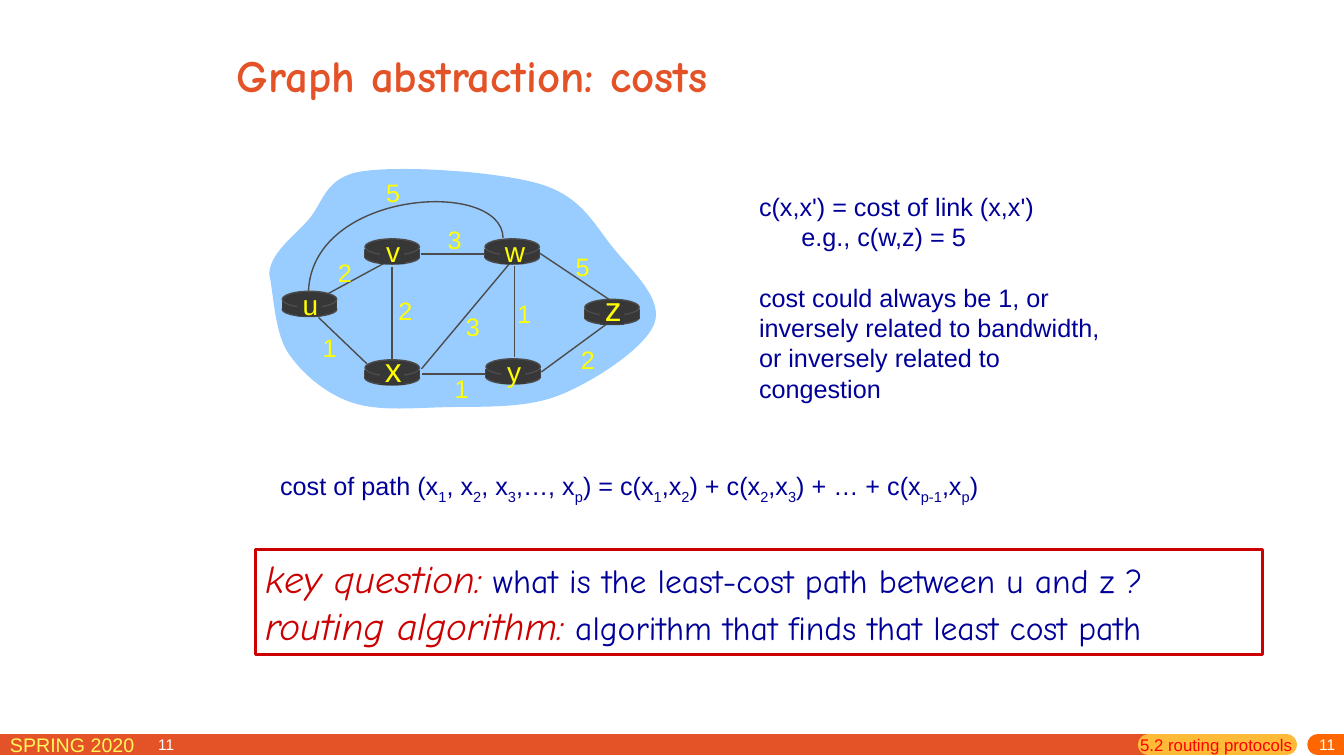
from lxml import etree
from pptx import Presentation
from pptx.dml.color import RGBColor
from pptx.enum.shapes import MSO_CONNECTOR, MSO_SHAPE
from pptx.enum.text import MSO_ANCHOR, PP_ALIGN
from pptx.oxml.ns import qn
from pptx.util import Inches, Pt

ORANGE = RGBColor(0xE4, 0x53, 0x27)
AMBER = RGBColor(0xFF, 0xBA, 0x37)
BRIGHT_ORANGE = RGBColor(0xFF, 0x66, 0x00)
PALE_YELLOW = RGBColor(0xFF, 0xF6, 0x5C)
YELLOW = RGBColor(0xFF, 0xFF, 0x00)
WHITE = RGBColor(0xFF, 0xFF, 0xFF)
RED = RGBColor(0xFF, 0x00, 0x00)
DARK_RED = RGBColor(0xCC, 0x00, 0x00)
NAVY = RGBColor(0x00, 0x00, 0x99)
SKY = RGBColor(0x99, 0xCC, 0xFF)
ROUTER = RGBColor(0x37, 0x37, 0x37)
GREY = RGBColor(0x4C, 0x4C, 0x4C)
SANS, COMIC = "Arial", "Comic Neue"

# Content
TITLE = "Graph abstraction: costs"
FOOTER_BARS = [(0, 11.39, ORANGE), (11.39, 12.76, AMBER), (13.07, 13.33, BRIGHT_ORANGE)]
CLOUD = [(2.67, 2.72), (2.68, 2.51), (2.9, 2.36), (3.05, 2.19), (3.21, 2.02), (3.21, 1.76),
         (3.59, 1.7), (3.98, 1.64), (4.95, 1.7), (5.37, 1.83), (5.78, 1.96), (5.9, 2.24),
         (6.09, 2.47), (6.28, 2.7), (6.58, 2.97), (6.49, 3.21), (6.4, 3.45), (5.9, 3.78),
         (5.55, 3.92), (5.2, 4.06), (4.74, 4.03), (4.4, 4.04), (4.05, 4.05), (3.74, 4.08),
         (3.48, 3.99), (3.22, 3.9), (2.99, 3.7), (2.85, 3.49), (2.72, 3.28), (2.71, 2.88),
         (2.67, 2.72)]
U_W_ARC = [(4.99, 2.36), (4.98, 1.77), (3.1, 1.88), (3.06, 2.89)]
# name: left, top, label size
ROUTERS = {"u": (2.8, 2.89, 20), "v": (3.62, 2.37, 20), "w": (4.81, 2.37, 20),
           "x": (3.62, 3.57, 24), "y": (4.82, 3.56, 20), "z": (5.8, 2.97, 24)}
# start, end
LINKS = [((3.26, 2.91), (3.85, 2.59)), ((5.1, 2.64), (5.1, 3.54)),
         ((3.89, 2.65), (3.89, 3.58)), ((4.18, 3.66), (5.05, 2.62)),
         ((5.37, 3.69), (6.01, 3.22)), ((4.82, 3.71), (4.19, 3.71)),
         ((3.64, 3.61), (3.16, 3.15)), ((4.81, 2.52), (4.18, 2.52)),
         ((6.04, 2.97), (5.35, 2.51))]
# cost, left, top
COSTS = [("2", 3.25, 2.5), ("2", 3.85, 2.88), ("1", 3.1, 3.25), ("3", 4.52, 3.04),
         ("1", 4.41, 3.65), ("1", 5.03, 2.91), ("2", 5.66, 3.37), ("5", 5.61, 2.44),
         ("3", 4.34, 2.18), ("5", 3.73, 1.71)]
# text, left indent in inches, space before in points
COST_NOTES = [("c(x,x') = cost of link (x,x')", 0, 0), ("e.g., c(w,z) = 5", 0.42, 0),
              ("cost could always be 1, or", 0, 21.6), ("inversely related to bandwidth,", 0, 0),
              ("or inversely related to", 0, 0), ("congestion", 0, 0)]
# every second piece is a subscript
PATH_COST = ["cost of path (x", "1", ", x", "2", ", x", "3", ",…, x", "p", ") = c(x", "1", ",x",
             "2", ") + c(x", "2", ",x", "3", ") + … + c(x", "p-1", ",x", "p", ")"]
KEY_POINTS = [("key question:", "what is the least-cost path between u and z ?"),
              ("routing algorithm:", "algorithm that finds that least cost path")]

prs = Presentation()
prs.slide_width, prs.slide_height = Inches(13.33), Inches(7.5)
s = prs.slides.add_slide(prs.slide_layouts[5])


def add_run(p, text, size, color, font=SANS, bold=False, italic=False):
    r = p.add_run()
    r.text = text
    r.font.size, r.font.name = Pt(size), font
    r.font.bold, r.font.italic = bold, italic
    r.font.color.rgb = color
    return r


def add_box(x, y, w, h, wrap=True):
    tf = s.shapes.add_textbox(Inches(x), Inches(y), Inches(w), Inches(h)).text_frame
    tf.word_wrap = wrap
    return tf


def add_label(text, x, y, w, h, size, color):
    p = add_box(x, y, w, h, wrap=False).paragraphs[0]
    p.alignment = PP_ALIGN.CENTER
    add_run(p, text, size, color)


def style(sp, fill=None, line=None, width=1):
    sp.shadow.inherit = False
    if fill is None:
        sp.fill.background()
    else:
        sp.fill.solid()
        sp.fill.fore_color.rgb = fill
    if line is None:
        sp.line.fill.background()
    else:
        sp.line.color.rgb, sp.line.width = line, Pt(width)


def add_part(kind, x, y, w, h, fill=None, line=None, width=1):
    sp = s.shapes.add_shape(kind, Inches(x), Inches(y), Inches(w), Inches(h))
    style(sp, fill, line, width)
    return sp


def add_line(start, end, color=GREY, width=1):
    c = s.shapes.add_connector(MSO_CONNECTOR.STRAIGHT, *(Inches(v) for v in (*start, *end)))
    c.line.color.rgb, c.line.width = color, Pt(width)
    etree.SubElement(c._element.spPr, qn("a:effectLst"))
    return c


def add_curve(points, close, fill=None, line=None):
    """Freeform whose points after the first are taken three by three as Bézier segments."""
    start, *rest = [(Inches(x), Inches(y)) for x, y in points]
    fb = s.shapes.build_freeform(*start)
    fb.add_line_segments(rest, close=close)
    sp = fb.convert_to_shape()
    steps = list(sp._element.iter(qn("a:lnTo")))
    for i in range(0, len(rest), 3):
        curve = etree.Element(qn("a:cubicBezTo"))
        steps[i].addprevious(curve)
        for step in steps[i:i + 3]:
            curve.append(step[0])
            step.getparent().remove(step)
    style(sp, fill, line)


# Footer
for left, right, color in FOOTER_BARS:
    bar = add_line((left, 7.39), (right, 7.39), color, 15)
    if color != ORANGE:
        bar._element.spPr.find(qn("a:ln")).set("cap", "rnd")
add_run(add_box(0, 7.22, 2.29, 0.31).paragraphs[0], "SPRING 2020", 14, PALE_YELLOW)
for x, align in ((1.47, PP_ALIGN.LEFT), (10.75, PP_ALIGN.RIGHT)):
    tf = add_box(x, 7.32, 2.59, 0.18)
    tf.margin_top, tf.vertical_anchor = 0, MSO_ANCHOR.MIDDLE
    tf.paragraphs[0].alignment = align
    add_run(tf.paragraphs[0], "11", 11, WHITE)
add_run(add_box(11.21, 7.24, 1.84, 0.31).paragraphs[0], "5.2 routing protocols", 12, RED)

# Title
title = s.shapes.title
title.left, title.top, title.width, title.height = (Inches(v) for v in (2.25, 0.24, 8.5, 0.99))
title.text_frame.vertical_anchor = MSO_ANCHOR.MIDDLE
title.text_frame.paragraphs[0].alignment = PP_ALIGN.LEFT
add_run(title.text_frame.paragraphs[0], TITLE, 32, ORANGE, COMIC, bold=True)

# Network: cloud, links, routers, costs
add_curve(CLOUD, True, fill=SKY)
for start, end in LINKS:
    add_line(start, end)
add_curve(U_W_ARC, False, line=GREY)
for name, (x, y, size) in ROUTERS.items():
    add_part(MSO_SHAPE.OVAL, x, y + 0.11, 0.54, 0.14, ROUTER, GREY)
    for side in (x, x + 0.54):
        add_line((side, y + 0.1), (side, y + 0.19))
    add_part(MSO_SHAPE.RECTANGLE, x, y + 0.1, 0.54, 0.09, ROUTER)
    add_part(MSO_SHAPE.OVAL, x, y, 0.54, 0.16, ROUTER, GREY)
    add_part(MSO_SHAPE.RECTANGLE, x + 0.15, y + 0.02, 0.24, 0.23, ROUTER)
    height = 0.43 if size == 20 else 0.5
    add_label(name, x + 0.1, y + 0.34 - height, 0.36, height, size, YELLOW)
for cost, x, y in COSTS:
    add_label(cost, x, y, 0.34, 0.4, 18, YELLOW)

# Notes on link cost
tf = add_box(7.43, 1.85, 3.8, 2.22)
for i, (text, indent, before) in enumerate(COST_NOTES):
    p = tf.add_paragraph() if i else tf.paragraphs[0]
    p.space_before = Pt(before)
    p._p.get_or_add_pPr().set("marL", str(Inches(indent)))
    add_run(p, text, 18, NAVY)

# Path cost formula
p = add_box(2.68, 4.62, 7.39, 0.4).paragraphs[0]
for i, text in enumerate(PATH_COST):
    r = add_run(p, text, 18, NAVY)
    if i % 2:
        r.font._element.set("baseline", "-25000")

# Key question box
tf = add_part(MSO_SHAPE.RECTANGLE, 2.53, 5.45, 9.99, 1.04, line=DARK_RED, width=2.25).text_frame
tf.word_wrap, tf.vertical_anchor = True, MSO_ANCHOR.TOP
for i, (lead, text) in enumerate(KEY_POINTS):
    p = tf.add_paragraph() if i else tf.paragraphs[0]
    p.alignment = PP_ALIGN.LEFT
    add_run(p, lead, 28, DARK_RED, COMIC, italic=True)
    add_run(p, " " + text, 24, NAVY, COMIC)

prs.save("out.pptx")
